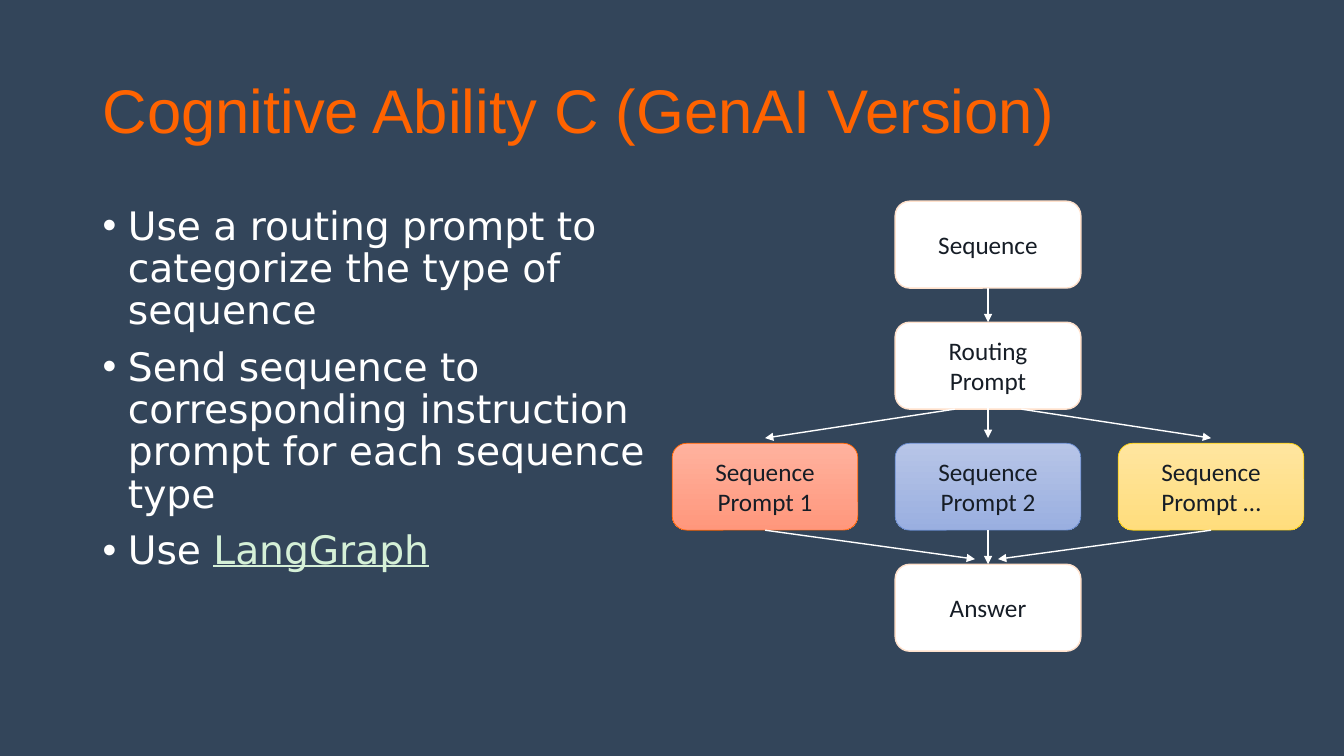
from dataclasses import dataclass

from lxml.etree import SubElement
from pptx import Presentation
from pptx.dml.color import RGBColor
from pptx.enum.shapes import MSO_CONNECTOR as Connector, MSO_SHAPE as Shape
from pptx.enum.text import MSO_ANCHOR as Anchor, MSO_AUTO_SIZE as AutoSize, PP_ALIGN as Align
from pptx.oxml.ns import qn
from pptx.util import Cm, Pt


@dataclass(frozen=True)
class Theme:
    background: str = "33455A"
    accent: str = "FF6300"
    light: str = "FFFFFF"
    dark: str = "161D26"
    link: str = "D5F0D7"
    plain: tuple = ("FFFFFF", "FFFFFF", "FFE1CC", 1)
    red: tuple = ("FFB29E", "FF977C", "FF6300", 0.5)
    blue: tuple = ("B7C5E7", "9AAFE0", "698CD0", 0.5)
    yellow: tuple = ("FFE59F", "FFDD7D", "FED10D", 0.5)
    title_size: int = 44
    body_size: int = 28
    box_size: int = 18


theme = Theme()


def set_font(font, name, size, color):
    font.name = name
    font.size = Pt(size)
    font.color.rgb = RGBColor.from_string(color)


def place(shape, left, top, width, height):
    shape.left, shape.top, shape.width, shape.height = Cm(left), Cm(top), Cm(width), Cm(height)


presentation = Presentation()
presentation.slide_width, presentation.slide_height = Cm(33.87), Cm(19.05)
slide = presentation.slides.add_slide(presentation.slide_layouts[1])
slide.background.fill.solid()
slide.background.fill.fore_color.rgb = RGBColor.from_string(theme.background)

# Title
title = slide.shapes.title
place(title, 2.33, 1.01, 29.21, 3.68)
title.text_frame.text = "Cognitive Ability C (GenAI Version)"
title.text_frame.auto_size = AutoSize.NONE
title.text_frame.vertical_anchor = Anchor.MIDDLE
paragraph = title.text_frame.paragraphs[0]
paragraph.alignment = Align.LEFT
paragraph.line_spacing = 0.9
set_font(paragraph.font, "Arial", theme.title_size, theme.accent)

# Bullet list
body = slide.placeholders[1]
place(body, 2.33, 5.07, 14.97, 12.09)
frame = body.text_frame
frame.auto_size = AutoSize.NONE
frame.text = "\n".join([
    "Use a routing prompt to categorize the type of sequence",
    "Send sequence to corresponding instruction prompt for each sequence type",
    "Use ",
])
tool = frame.paragraphs[-1].add_run()
tool.text = "LangGraph"
tool.font.underline = True
tool.font.color.rgb = RGBColor.from_string(theme.link)
for index, paragraph in enumerate(frame.paragraphs):
    properties = paragraph._p.get_or_add_pPr()
    properties.set("marL", str(Cm(0.64)))
    properties.set("indent", str(Cm(-0.64)))
    SubElement(properties, qn("a:buFont")).set("typeface", "Arial")
    SubElement(properties, qn("a:buChar")).set("char", "•")
    paragraph.line_spacing = 0.9
    paragraph.space_before = Pt(10 if index else 0)
    set_font(paragraph.font, "DejaVu Sans", theme.body_size, theme.light)

# Flow boxes on a grid of three columns and four rows
box_width, box_height = 4.68, 2.19
column_left = [16.94 + 5.62 * column for column in range(3)]
row_top = [5.07 + 3.05 * row for row in range(4)]
boxes = {}
for text, column, row, (top_color, bottom_color, line_color, line_width) in [
    ("Sequence", 1, 0, theme.plain),
    ("Routing Prompt", 1, 1, theme.plain),
    ("Sequence Prompt 1", 0, 2, theme.red),
    ("Sequence Prompt 2", 1, 2, theme.blue),
    ("Sequence Prompt …", 2, 2, theme.yellow),
    ("Answer", 1, 3, theme.plain),
]:
    box = slide.shapes.add_shape(
        Shape.ROUNDED_RECTANGLE, Cm(column_left[column]), Cm(row_top[row]),
        Cm(box_width), Cm(box_height))
    box.shadow.inherit = False
    if top_color == bottom_color:
        box.fill.solid()
        box.fill.fore_color.rgb = RGBColor.from_string(top_color)
    else:
        box.fill.gradient()
        box.fill.gradient_angle = 270
        for stop, color in zip(box.fill.gradient_stops, (top_color, bottom_color)):
            stop.color.rgb = RGBColor.from_string(color)
    box.line.color.rgb = RGBColor.from_string(line_color)
    box.line.width = Pt(line_width)
    box.text_frame.text = text
    box.text_frame.word_wrap = True
    box.text_frame.vertical_anchor = Anchor.MIDDLE
    paragraph = box.text_frame.paragraphs[0]
    paragraph.alignment = Align.CENTER
    set_font(paragraph.font, "Calibri", theme.box_size, theme.dark)
    boxes[text] = box

# Arrows: a box name joins the middle of its side, a pair is a free point
left_center, center, right_center = [left + box_width / 2 for left in column_left]
routing_bottom = row_top[1] + box_height
prompt_gap, answer_gap = row_top[2] - 0.13, row_top[3] - 0.13
for start, end in [
    ("Sequence", "Routing Prompt"),
    ((center, routing_bottom - 0.1), (center, prompt_gap)),
    ("Sequence Prompt 2", "Answer"),
    ((center + 0.84, routing_bottom), (right_center, prompt_gap)),
    ((center - 0.84, routing_bottom), (left_center, prompt_gap)),
    ("Sequence Prompt 1", (center - 0.33, answer_gap)),
    ("Sequence Prompt …", (center + 0.25, answer_gap)),
]:
    points = [(center, 0) if point in boxes else point for point in (start, end)]
    arrow = slide.shapes.add_connector(
        Connector.STRAIGHT, *[Cm(length) for point in points for length in point])
    if start in boxes:
        arrow.begin_connect(boxes[start], 2)
    if end in boxes:
        arrow.end_connect(boxes[end], 0)
    arrow.line.color.rgb = RGBColor.from_string(theme.light)
    arrow.line.width = Pt(1)
    SubElement(arrow.line._get_or_add_ln(), qn("a:tailEnd")).set("type", "triangle")
    SubElement(arrow._element.spPr, qn("a:effectLst"))

presentation.save("out.pptx")
